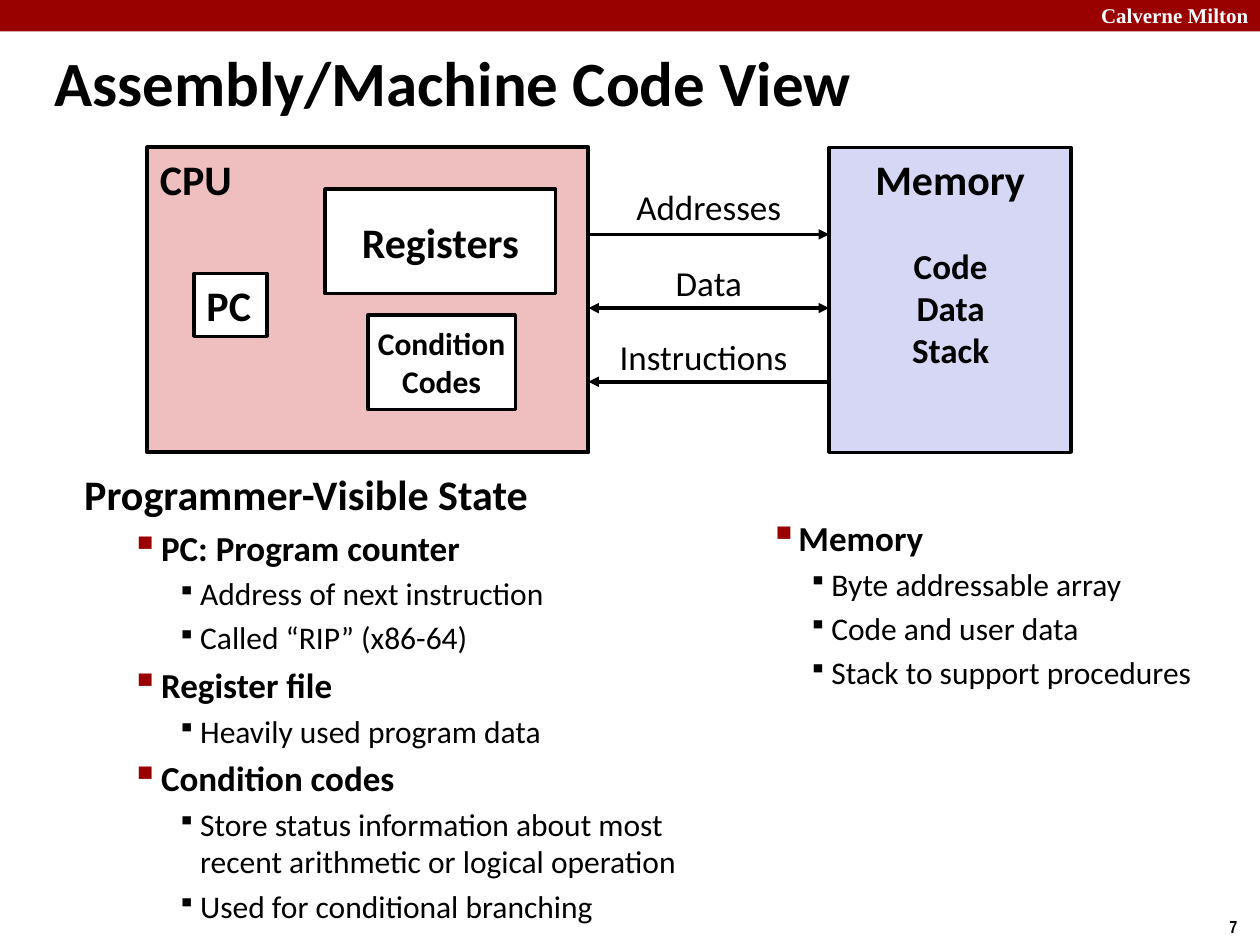
from dataclasses import dataclass

import lxml.etree
import pptx
import pptx.dml.color
import pptx.enum.shapes
import pptx.enum.text
import pptx.oxml.ns
import pptx.util

Inches = pptx.util.Inches
Align = pptx.enum.text.PP_ALIGN
Anchor = pptx.enum.text.MSO_ANCHOR
qn = pptx.oxml.ns.qn


@dataclass(frozen=True)
class Theme:
    red: str = "990000"
    pink: str = "EFBFBF"
    lavender: str = "D6D6F5"
    white: str = "FFFFFF"
    black: str = "000000"
    font: str = "Calibri"
    banner_font: str = "Times New Roman"
    number_font: str = "Arial Narrow"
    title: int = 36
    heading: int = 24
    label: int = 20
    detail: int = 18
    banner: int = 12
    number: int = 10
    line: float = 2


theme = Theme()


@dataclass(frozen=True)
class Box:
    left: float
    top: float
    width: float
    height: float

    def inner(self, left, top, width, height):
        return Box(self.left + left, self.top + top, width, height)

    def lengths(self):
        return [Inches(value) for value in (self.left, self.top, self.width, self.height)]


def color(value):
    return pptx.dml.color.RGBColor.from_string(value)


def add_child(parent, tag, **attributes):
    return lxml.etree.SubElement(parent, qn(tag), attributes)


def add_span(para, text, size=theme.heading, bold=True, font=theme.font, ink=theme.black):
    span = para.add_run()
    span.text = text
    span.font.size = pptx.util.Pt(size)
    span.font.bold = bold
    span.font.name = font
    span.font.color.rgb = color(ink)


def write(frame, text, align=Align.LEFT, anchor=Anchor.TOP, wrap=True, **style):
    frame.word_wrap = wrap
    frame.vertical_anchor = anchor
    for index, line in enumerate(text.split("\n")):
        para = frame.paragraphs[0] if index == 0 else frame.add_paragraph()
        para.alignment = align
        add_span(para, line, **style)


def add_text(page, box, text, **style):
    shape = page.shapes.add_textbox(*box.lengths())
    write(shape.text_frame, text, **style)


def add_block(page, box, fill, text="", line=theme.line, **style):
    shape = page.shapes.add_shape(pptx.enum.shapes.MSO_SHAPE.RECTANGLE, *box.lengths())
    shape.shadow.inherit = False
    shape.fill.solid()
    shape.fill.fore_color.rgb = color(fill)
    if line:
        shape.line.color.rgb = color(theme.black)
        shape.line.width = pptx.util.Pt(line)
    else:
        shape.line.fill.background()
    if text:
        write(shape.text_frame, text, **style)


def add_arrow(page, left, right, top, ends):
    arrow = page.shapes.add_connector(
        pptx.enum.shapes.MSO_CONNECTOR.STRAIGHT,
        Inches(left), Inches(top), Inches(right), Inches(top))
    arrow.line.color.rgb = color(theme.black)
    arrow.line.width = pptx.util.Pt(theme.line)
    outline = arrow.line._get_or_add_ln()
    for end in ends:
        add_child(outline, f"a:{end}", type="triangle")
    add_child(arrow._element.spPr, "a:effectLst")


def format_outline(para, level, margin, hanging):
    para.level = level
    properties = para._p.get_or_add_pPr()
    properties.set("marL", str(Inches(margin)))
    properties.set("indent", str(-Inches(hanging)))
    add_child(add_child(properties, "a:spcBef"), "a:spcPct", val="20000")
    if level == 0:
        add_child(properties, "a:buNone")
        return
    if level == 1:
        add_child(add_child(properties, "a:buClr"), "a:srgbClr", val=theme.red)
    add_child(properties, "a:buSzPct", val="110000" if level == 1 else "80000")
    add_child(properties, "a:buChar", char="▪")


def add_outline(page, box, items, indents):
    frame = page.shapes.add_textbox(*box.lengths()).text_frame
    frame.word_wrap = True
    sizes = (theme.heading, theme.label, theme.detail)
    for index, (level, text) in enumerate(items):
        para = frame.paragraphs[0] if index == 0 else frame.add_paragraph()
        format_outline(para, level, *indents[level])
        add_span(para, text, size=sizes[level], bold=level < 2)


def add_banner(page, box):
    add_block(page, box, theme.red, line=None)
    add_text(page, box.inner(8.64, -0.03, 1.43, 0.3), "Calverne Milton",
             size=theme.banner, font=theme.banner_font, ink=theme.white)


def add_title(page, box):
    title = page.shapes.title
    title.left, title.top, title.width, title.height = box.lengths()
    write(title.text_frame, "Assembly/Machine Code View", anchor=Anchor.MIDDLE, size=theme.title)


def add_cpu(page, box):
    add_block(page, box, theme.pink, "CPU", line=2.25)
    parts = [
        ("PC", (0.37, 1, 0.58, 0.5), Align.LEFT, theme.heading),
        ("Registers", (1.41, 0.33, 1.83, 0.83), Align.CENTER, theme.heading),
        ("Condition\nCodes", (1.75, 1.33, 1.17, 0.75), Align.CENTER, theme.detail),
    ]
    for text, place, align, size in parts:
        add_block(page, box.inner(*place), theme.white, text, align=align,
                  anchor=Anchor.MIDDLE, wrap=False, size=size)


def add_memory(page, box):
    add_block(page, box, theme.lavender, "Memory", align=Align.CENTER, wrap=False)
    add_text(page, box.inner(0.34, 0.72, 1.25, 1.11), "Code\nData\nStack",
             align=Align.CENTER, size=theme.label)


def add_buses(page, box):
    buses = [
        ("Addresses", box.width, 0.25, ["tailEnd"]),
        ("Data", box.width, 0.86, ["headEnd", "tailEnd"]),
        ("Instructions", 1.83, 1.44, ["headEnd"]),
    ]
    for index, (text, width, top, ends) in enumerate(buses):
        add_arrow(page, box.left, box.left + box.width, box.top + 0.69 + index * 0.585, ends)
        add_text(page, box.inner(0, top, width, 0.43), text,
                 align=Align.CENTER, size=theme.label, bold=False)


def add_state(page, box):
    add_outline(page, box.inner(0, 0, 5.31, 3.38), [
        (0, "Programmer-Visible State"),
        (1, "PC: Program counter"),
        (2, "Address of next instruction"),
        (2, "Called “RIP” (x86-64)"),
        (1, "Register file"),
        (2, "Heavily used program data"),
        (1, "Condition codes"),
        (2, "Store status information about most recent arithmetic or logical operation"),
        (2, "Used for conditional branching"),
    ], [(0.25, 0.25), (0.61, 0.24), (0.92, 0.18)])
    add_outline(page, box.inner(5.31, 0.38, 3.96, 1.72), [
        (1, "Memory"),
        (2, "Byte addressable array"),
        (2, "Code and user data"),
        (2, "Stack to support procedures"),
    ], [(0, 0), (0.32, 0.19), (0.62, 0.18)])


deck = pptx.Presentation()
deck.slide_width, deck.slide_height = Inches(10), Inches(7.5)
page = deck.slides.add_slide(deck.slide_layouts.get_by_name("Title Only"))
add_banner(page, Box(0, 0, 10, 0.25))
add_title(page, Box(0.33, 0.33, 7.9, 0.63))
add_cpu(page, Box(1.17, 1.17, 3.5, 2.42))
add_memory(page, Box(6.58, 1.17, 1.92, 2.42))
add_buses(page, Box(4.67, 1.17, 1.91, 2.42))
add_state(page, Box(0.57, 3.67, 9.27, 3.38))
add_text(page, Box(9.66, 7.22, 0.34, 0.27), "7", wrap=False,
         size=theme.number, font=theme.number_font)
deck.save("out.pptx")
